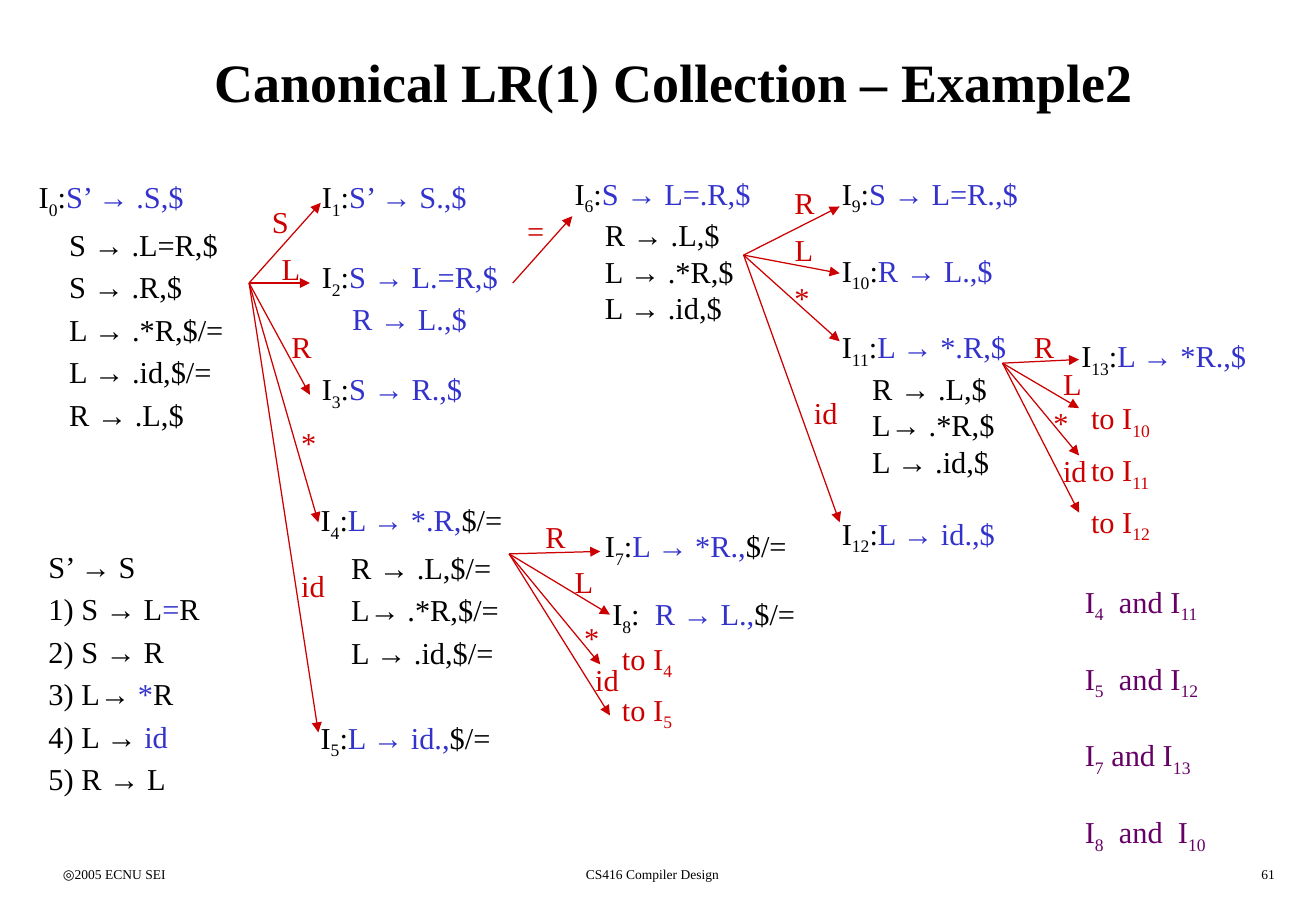
from lxml import etree
from pptx import Presentation, util as u
from pptx.dml.color import RGBColor
from pptx.enum import shapes, text
from pptx.oxml.ns import qn

BLACK = RGBColor(0x00, 0x00, 0x00)
BLUE = RGBColor(0x33, 0x33, 0xCC)
RED = RGBColor(0xCC, 0x00, 0x00)
PURPLE = RGBColor(0x66, 0x00, 0x66)

# The slide is a grid of 108.3 columns by 75 rows; all places are in cells
CELL = u.Inches(0.1)
COLUMNS, ROWS = 108.3, 75
FACE = "Times New Roman"
LINE_ROWS, FIRST_ROWS, SPACED_ROWS = 3, 4, 3.6
SPACED, GAP, INDENT = u.Pt(3.6), u.Pt(21), u.Pt(18)

# Text marks: ~subscript~, ^blue^, leading > indents, leading + leaves a gap above
# Item sets: column, row, width, spaced lines, colour, lines
ITEM_SETS = [
    (3, 44.6, 15.8, True, BLACK, ["S’ → S", "1) S → L^=^R", "2) S → R", "3) L→ ^*^R",
                                  "4) L →^ id^", "5) R → L"]),
    (2.2, 14.2, 18.5, True, BLACK, ["I~0~:^S’ → .S,$^", ">S → .L=R,$", ">S → .R,$",
                                    ">L → .*R,$/=", ">L → .id,$/=", ">R → .L,$"]),
    (25.5, 14.2, 14.2, False, BLACK, ["I~1~:^S’ → S.,$^"]),
    (25.5, 20.8, 16.6, False, BLACK, ["I~2~:^S → L.=R,$^", ">^R → L.,$^"]),
    (25.5, 30, 13.6, False, BLACK, ["I~3~:^S → R.,$^"]),
    (25.4, 40.8, 18.5, True, BLACK, ["I~4~:^L → *.R,^$/=", ">R → .L,$/=", ">L→ .*R,$/=",
                                     ">L → .id,$/="]),
    (25.4, 58.7, 16.2, False, BLACK, ["I~5~:^L → id.,^$/="]),
    (46.3, 13.9, 16.6, False, BLACK, ["I~6~:^S → L=.R,$^", ">R → .L,$", ">L → .*R,$",
                                      ">L → .id,$"]),
    (48.8, 42.9, 17.1, False, BLACK, ["I~7~:^L → *R.,^$/="]),
    (49.4, 48.5, 17.1, False, BLACK, ["I~8~:  ^R → L.,^$/="]),
    (68.3, 13.9, 16.6, False, BLACK, ["I~9~:^S → L=R.,$^", "+I~10~:^R → L.,$^",
                                      "+I~11~:^L → *.R,$^", ">R → .L,$", ">L→ .*R,$",
                                      ">L → .id,$", "+I~12~:^L → id.,$^"]),
    (88, 27.3, 15.9, False, BLACK, ["I~13~:^L → *R.,$^"]),
    (88.3, 47.5, 12.3, False, PURPLE, ["I~4~  and I~11~", "+I~5~  and I~12~",
                                       "+I~7~ and I~13~", "+I~8~  and  I~10~"]),
]

# Pointers back to earlier sets: column, first row, row step, width, set numbers
RETURNS = [(88.8, 32.4, 4.25, 7.1, (10, 11, 12)), (50.2, 52.2, 4.2, 6.2, (4, 5))]

# Transitions: start, then symbol, symbol place, arrow end
SYMBOL_WIDTH = {"S": 3.4, "L": 3.5, "R": 3.7, "*": 3.3, "id": 4, "=": 3.4}
TRANSITIONS = [
    ((20.5, 23.3), [("S", (21.4, 16.2), (26.4, 16.7)), ("L", (22.2, 20.1), (25.5, 23.3)),
                    ("R", (23, 26.5), (25.5, 32.5)), ("*", (23.8, 34.4), (26.2, 43)),
                    ("id", (23.8, 46.2), (26.2, 60.3))]),
    ((42.2, 23.3), [("=", (42.4, 17), (47.1, 17.8))]),
    ((61.2, 21), [("R", (64.4, 14.7), (69.1, 17)), ("L", (64.4, 18.5), (69.1, 22.5)),
                  ("*", (64.4, 22.5), (69.1, 28.1)), ("id", (66, 32), (69.1, 43))]),
    ((41.9, 45.6), [("R", (43.9, 42.2), (49.4, 45.4)), ("L", (46.3, 45.9), (50.2, 50.6)),
                    ("*", (47.1, 50.5), (49.4, 54.7)), ("id", (48, 53.9), (50.2, 58.9))]),
    ((82.5, 29.9), [("R", (84.1, 26.5), (88.8, 29.6)), ("L", (86.5, 29.6), (88.8, 33.6)),
                    ("*", (85.7, 32.8), (88.8, 37.5)), ("id", (86.5, 36.7), (88.8, 42.2))]),
]

# Title and footer: column, row, width, height, alignment, text, font format
SMALL = dict(size=u.Pt(8))
FRAME_TEXTS = [
    (4.2, 1.7, 102.5, 10, text.PP_ALIGN.CENTER, "Canonical LR(1) Collection – Example2",
     dict(size=u.Pt(32), bold=True)),
    (4.2, 70.8, 22.6, 2.5, text.PP_ALIGN.LEFT, "◎2005 ECNU SEI", SMALL),
    (33.4, 70.8, 40.6, 2.5, text.PP_ALIGN.CENTER, "CS416 Compiler Design", SMALL),
    (83.3, 70.8, 22.6, 2.5, text.PP_ALIGN.RIGHT, "61", SMALL),
]


def cells(*counts):
    return [int(count * CELL) for count in counts]


def apply(target, formats):
    for name, value in formats.items():
        setattr(target, name, value)


def write(paragraph, marked, colour, formats):
    """Turn the ~ and ^ marks into subscript and blue runs."""
    for i, part in enumerate(marked.split("^")):
        for j, piece in enumerate(part.split("~")):
            if piece:
                run = paragraph.add_run()
                run.text = piece
                apply(run.font, dict(name=FACE, **formats))
                run.font.color.rgb = BLUE if i % 2 else colour
                if j % 2:
                    run._r.get_or_add_rPr().set("baseline", "-25000")


def add_lines(slide, place, width, lines, colour, spaced=False):
    gaps = sum(line.startswith("+") for line in lines)
    step = SPACED_ROWS if spaced else LINE_ROWS
    height = FIRST_ROWS + step * (len(lines) - 1 + gaps)
    frame = slide.shapes.add_textbox(*cells(*place, width, height)).text_frame
    apply(frame, dict(word_wrap=spaced, auto_size=text.MSO_AUTO_SIZE.SHAPE_TO_FIT_TEXT))
    for number, line in enumerate(lines):
        paragraph = frame.add_paragraph() if number else frame.paragraphs[0]
        if line.startswith(">"):
            paragraph._p.get_or_add_pPr().set("marL", str(int(INDENT)))
        if number and (spaced or line.startswith("+")):
            paragraph.space_before = SPACED if spaced else GAP
        write(paragraph, line.lstrip(">+"), colour, dict(size=u.Pt(18)))


def add_arrow(slide, start, end):
    arrow = slide.shapes.add_connector(shapes.MSO_CONNECTOR.STRAIGHT, *cells(*start, *end))
    arrow.line.color.rgb = RED
    arrow.line.width = u.Pt(0.75)
    etree.SubElement(arrow.line._get_or_add_ln(), qn("a:tailEnd"), type="triangle")
    etree.SubElement(arrow._element.spPr, qn("a:effectLst"))


def main():
    deck = Presentation()
    deck.slide_width, deck.slide_height = cells(COLUMNS, ROWS)
    slide = deck.slides.add_slide(deck.slide_layouts[6])

    # Title and footer
    for column, row, width, height, align, words, formats in FRAME_TEXTS:
        frame = slide.shapes.add_textbox(*cells(column, row, width, height)).text_frame
        anchor = text.MSO_ANCHOR.MIDDLE if formats.get("bold") else text.MSO_ANCHOR.TOP
        apply(frame, dict(word_wrap=True, vertical_anchor=anchor))
        frame.paragraphs[0].alignment = align
        write(frame.paragraphs[0], words, BLACK, formats)

    # Grammar, item sets and merge pairs
    for column, row, width, spaced, colour, lines in ITEM_SETS:
        add_lines(slide, (column, row), width, lines, colour, spaced)

    # Pointers back to earlier sets
    for column, row, step, width, numbers in RETURNS:
        for i, number in enumerate(numbers):
            add_lines(slide, (column, row + i * step), width, [f"to I~{number}~"], RED)

    # Transition arrows with their symbols
    for start, branches in TRANSITIONS:
        for symbol, place, end in branches:
            add_arrow(slide, start, end)
            add_lines(slide, place, SYMBOL_WIDTH[symbol], [symbol], RED)

    deck.save("out.pptx")


if __name__ == "__main__":
    main()
